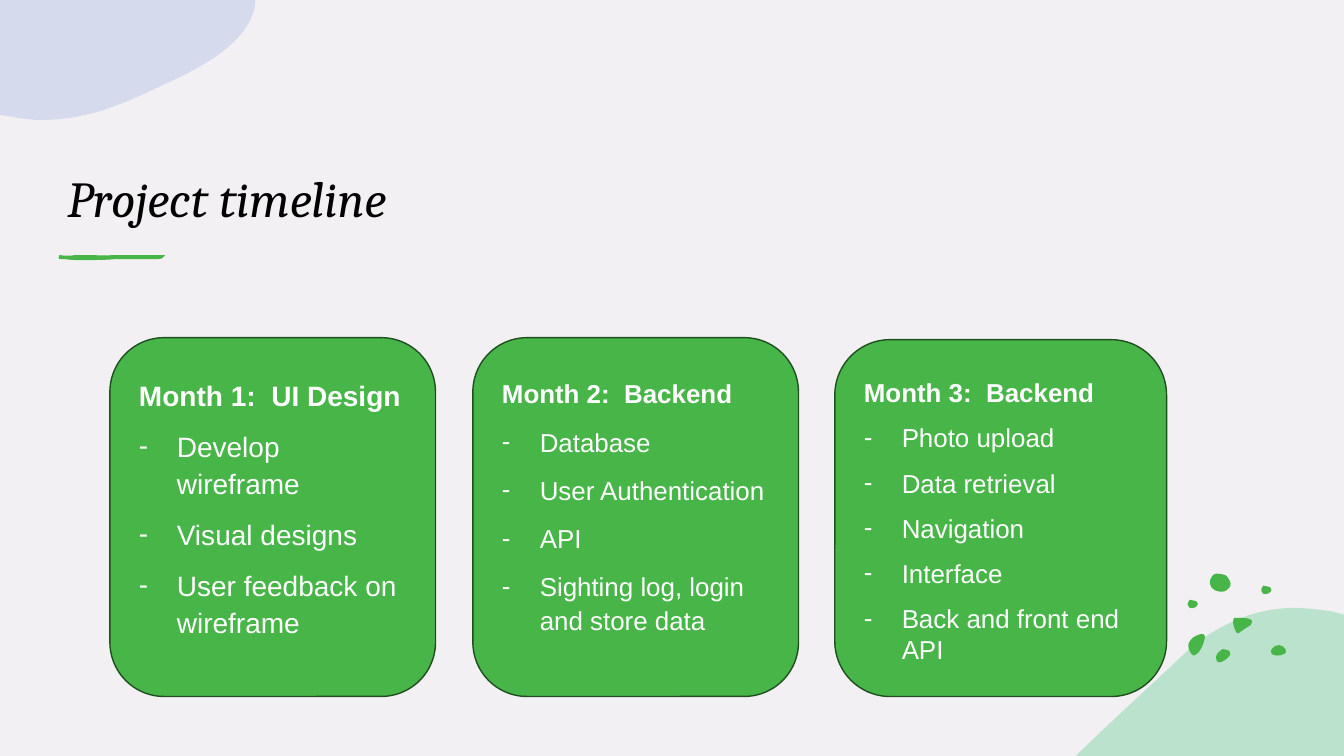
from lxml import etree
from pptx import Presentation
from pptx.dml.color import RGBColor
from pptx.enum.shapes import MSO_SHAPE
from pptx.enum.text import MSO_ANCHOR
from pptx.oxml.ns import qn
from pptx.util import Inches, Pt

CARD = MSO_SHAPE.FLOWCHART_ALTERNATE_PROCESS
TOP, BOTTOM = MSO_ANCHOR.TOP, MSO_ANCHOR.BOTTOM
GREEN, DARK_GREEN, MINT, LILAC = "47B548", "1F4F20", "84D6A7", "B8C7E7"
CARD_BOTTOM = 6.91
PAD_X, PAD_Y = 0.19, 0.32
HANG = Pt(27)

# Outlines in inches: start point, then lines (x, y) or curves (two controls and an end).
HILL = [(12.88, 6.03), (13.01, 6.04, 13.14, 6.05, 13.27, 6.08), (13.33, 6.1), (13.33, 7.5),
        (10.67, 7.5), (10.68, 7.49), (11.02, 7.16, 11.37, 6.84, 11.69, 6.54),
        (11.91, 6.32, 12.14, 6.19, 12.37, 6.11), (12.54, 6.05, 12.71, 6.03, 12.88, 6.03)]
CLOUD = [(0, 0), (2.53, 0), (2.53, 0.06), (2.45, 0.44, 2, 0.67, 1.58, 0.86),
         (1.23, 1.03, 0.86, 1.19, 0.41, 1.19), (0.31, 1.19, 0.22, 1.18, 0.13, 1.16), (0, 1.14)]
STROKE = [(0.86, 2.58), (0.94, 2.58, 1.05, 2.58, 1.15, 2.57), (1.57, 2.57),
          (1.63, 2.57, 1.61, 2.54, 1.64, 2.53), (1.33, 2.53), (1.11, 2.53),
          (1.06, 2.54, 0.94, 2.53, 0.88, 2.53), (0.75, 2.53), (0.7, 2.54, 0.64, 2.54, 0.59, 2.53),
          (0.58, 2.54, 0.57, 2.58, 0.61, 2.57), (0.65, 2.57, 0.71, 2.58, 0.75, 2.58)]
PEBBLES = [
    [(12.13, 6.44), (12.15, 6.44, 12.16, 6.44, 12.18, 6.45), (12.2, 6.46, 12.21, 6.48, 12.2, 6.5),
     (12.18, 6.53, 12.12, 6.58, 12.08, 6.57), (12.07, 6.56, 12.06, 6.54, 12.06, 6.52),
     (12.06, 6.5, 12.08, 6.47, 12.1, 6.46), (12.11, 6.45, 12.12, 6.44, 12.13, 6.44)],
    [(11.91, 6.29), (11.93, 6.29, 11.95, 6.29, 11.95, 6.31), (11.95, 6.32, 11.95, 6.32, 11.95, 6.33),
     (11.94, 6.38, 11.92, 6.43, 11.89, 6.47), (11.87, 6.49, 11.84, 6.52, 11.82, 6.49),
     (11.79, 6.46, 11.78, 6.41, 11.79, 6.38), (11.8, 6.35, 11.82, 6.34, 11.84, 6.32),
     (11.85, 6.32, 11.88, 6.29, 11.91, 6.29)],
    [(12.69, 6.4), (12.71, 6.4, 12.74, 6.42, 12.75, 6.44), (12.76, 6.46, 12.76, 6.48, 12.73, 6.49),
     (12.7, 6.51, 12.62, 6.51, 12.61, 6.48), (12.6, 6.46, 12.61, 6.44, 12.62, 6.43),
     (12.64, 6.41, 12.66, 6.4, 12.69, 6.4)],
    [(12.01, 5.81), (12, 5.81, 11.99, 5.75, 12.02, 5.72), (12.04, 5.7, 12.04, 5.69, 12.07, 5.69),
     (12.1, 5.69, 12.14, 5.7, 12.16, 5.71), (12.18, 5.73, 12.22, 5.78, 12.2, 5.82),
     (12.17, 5.85, 12.16, 5.87, 12.12, 5.87), (12.09, 5.87, 12.04, 5.86, 12.03, 5.84),
     (12.01, 5.83, 12.01, 5.82, 12.01, 5.81)],
    [(12.28, 6.13), (12.34, 6.13, 12.45, 6.13, 12.41, 6.19), (12.41, 6.2, 12.4, 6.21, 12.39, 6.21),
     (12.36, 6.23, 12.33, 6.25, 12.3, 6.27), (12.29, 6.28, 12.28, 6.29, 12.27, 6.28),
     (12.27, 6.28, 12.26, 6.27, 12.26, 6.27), (12.24, 6.23, 12.23, 6.2, 12.23, 6.16),
     (12.23, 6.15, 12.23, 6.14, 12.24, 6.13), (12.26, 6.13, 12.27, 6.13, 12.28, 6.13)],
]
SEED = [(0, 0.05), (0, 0.05, 0, 0.01, 0.02, 0), (0.04, 0, 0.05, 0, 0.07, 0.01),
        (0.08, 0.01, 0.1, 0.02, 0.1, 0.04), (0.1, 0.05, 0.09, 0.07, 0.08, 0.07),
        (0.08, 0.07, 0.08, 0.08, 0.06, 0.08), (0.05, 0.08, 0.03, 0.09, 0.02, 0.08),
        (0.01, 0.06, 0, 0.06, 0, 0.05)]
SEED_SPOTS = [(12.51, 5.81), (11.78, 5.95)]

# Heading, tasks, font size, line spacing, card left, top and width
MONTHS = [
    ("Month 1:  UI Design",
     ["Develop wireframe", "Visual designs", "User feedback on wireframe"],
     20, 1.1, 1.09, 3.35, 3.23),
    ("Month 2:  Backend",
     ["Database", "User Authentication", "API", "Sighting log, login and store data"],
     18.5, 1.1, 4.69, 3.35, 3.23),
    ("Month 3:  Backend",
     ["Photo upload", "Data retrieval", "Navigation", "Interface", "Back and front end API"],
     18.5, 1.0, 8.28, 3.37, 3.29),
]


def rgb(color):
    return RGBColor.from_string(color)


def bend(sp, segments, dx, dy):
    """Turn the straight segments that have control points into Bézier curves."""
    lines = list(sp._element.iter(qn("a:lnTo")))
    for line, seg in zip(lines, segments):
        if len(seg) == 6:
            line.tag = qn("a:cubicBezTo")
            for i, (x, y) in enumerate([seg[:2], seg[2:4]]):
                pt = line.makeelement(qn("a:pt"), {"x": str(Inches(x + dx) - sp.left),
                                                   "y": str(Inches(y + dy) - sp.top)})
                line.insert(i, pt)


def add_blob(shapes, outline, color, alpha=100, dx=0, dy=0):
    points = [(Inches(seg[-2] + dx), Inches(seg[-1] + dy)) for seg in outline]
    builder = shapes.build_freeform(*points[0])
    builder.add_line_segments(points[1:], close=True)
    sp = builder.convert_to_shape()
    bend(sp, outline[1:], dx, dy)
    sp.shadow.inherit = False
    sp.fill.solid()
    sp.fill.fore_color.rgb = rgb(color)
    sp.line.fill.background()
    if alpha < 100:
        clr = sp.fill._xPr.find(qn("a:solidFill"))[0]
        etree.SubElement(clr, qn("a:alpha"), val=str(alpha * 1000))


def add_textbox(s, x, y, w, h, anchor=TOP):
    tf = s.shapes.add_textbox(Inches(x), Inches(y), Inches(w), Inches(h)).text_frame
    tf.word_wrap = True
    tf.vertical_anchor = anchor
    return tf


def write(p, text, size, font="Arial", color="FFFFFF", bold=False, italic=False,
          spacing=1.0, before=0, bullet=None):
    p.line_spacing, p.space_before = spacing, Pt(before)
    if bullet:
        pPr = p._p.get_or_add_pPr()
        pPr.set("marL", str(HANG))
        pPr.set("indent", str(-HANG))
        etree.SubElement(pPr, qn("a:buFont"), typeface=font)
        etree.SubElement(pPr, qn("a:buChar"), char=bullet)
    r = p.add_run()
    r.text = text
    r.font.name, r.font.size = font, Pt(size)
    r.font.bold, r.font.italic = bold, italic
    r.font.color.rgb = rgb(color)


def add_month(s, heading, tasks, size, spacing, left, top, width):
    sp = s.shapes.add_shape(CARD, Inches(left), Inches(top), Inches(width),
                            Inches(CARD_BOTTOM - top))
    sp.shadow.inherit = False
    sp.fill.solid()
    sp.fill.fore_color.rgb = rgb(GREEN)
    sp.line.color.rgb = rgb(DARK_GREEN)
    sp.line.width = Pt(1)
    tf = add_textbox(s, left + PAD_X, top + PAD_Y, 2.89, 3.19)
    write(tf.paragraphs[0], heading, size, bold=True, spacing=spacing, before=10)
    for task in tasks:
        write(tf.add_paragraph(), task, size, spacing=spacing, before=10, bullet="-")


def main():
    prs = Presentation()
    prs.slide_width, prs.slide_height = Inches(13.33), Inches(7.5)
    s = prs.slides.add_slide(prs.slide_layouts[6])
    s.background.fill.solid()
    s.background.fill.fore_color.rgb = rgb("F3F0F3")

    add_blob(s.shapes, HILL, MINT, alpha=50)
    pebbles = s.shapes.add_group_shape().shapes
    for pebble in PEBBLES:
        add_blob(pebbles, pebble, GREEN)
    for x, y in SEED_SPOTS:
        add_blob(pebbles, SEED, GREEN, dx=x, dy=y)
    add_blob(s.shapes, CLOUD, LILAC, alpha=50)
    add_blob(s.shapes, STROKE, GREEN)

    tf = add_textbox(s, 0.57, 0.86, 11.02, 1.45, anchor=BOTTOM)
    write(tf.paragraphs[0], "Project timeline", 36, font="Cambria", color="000000", italic=True)
    for month in MONTHS:
        add_month(s, *month)
    prs.save("out.pptx")


if __name__ == "__main__":
    main()
